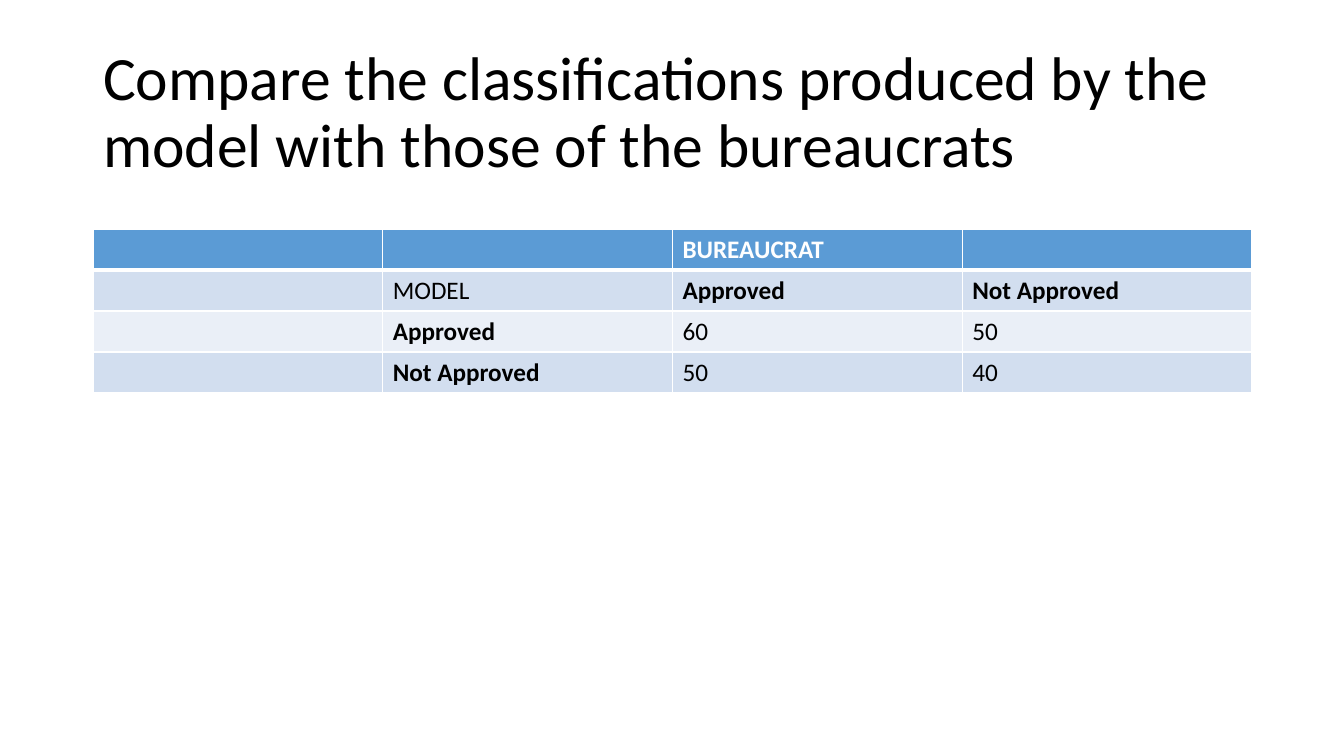
from dataclasses import dataclass

from lxml import etree
from pptx import Presentation
from pptx.dml.color import RGBColor
from pptx.enum.text import MSO_ANCHOR, MSO_AUTO_SIZE, PP_ALIGN
from pptx.oxml.ns import qn
from pptx.util import Emu, Inches, Pt

LEFT = PP_ALIGN.LEFT
MIDDLE = MSO_ANCHOR.MIDDLE
NO_AUTOFIT = MSO_AUTO_SIZE.NONE

PIXELS_PER_INCH = 100.8
TITLE_ONLY_LAYOUT = 5


@dataclass(frozen=True)
class Theme:
    font: str = "Calibri"
    title_size: int = 44
    table_size: int = 18
    text: str = "000000"
    header_text: str = "FFFFFF"
    header_fill: str = "5B9BD5"
    bands: tuple = ("D2DEEF", "EAEFF7")
    border: str = "FFFFFF"
    border_width: int = 1
    header_border_width: int = 3


THEME = Theme()

TITLE = ("Compare the classifications produced by the model "
         "with those of the bureaucrats")
COMPARISON = [
    ["", "", "BUREAUCRAT", ""],
    ["", "MODEL", "Approved", "Not Approved"],
    ["", "Approved", "60", "50"],
    ["", "Not Approved", "50", "40"],
]
BOLD_LABELS = {"BUREAUCRAT", "Approved", "Not Approved"}


def px(pixels):
    return Emu(round(pixels * Inches(1) / PIXELS_PER_INCH))


def format_runs(paragraph, size, color, bold=False):
    for run in paragraph.runs:
        run.font.name = THEME.font
        run.font.size = Pt(size)
        run.font.bold = bold
        run.font.color.rgb = RGBColor.from_string(color)


def add_title(slide, text, left, top, width, height):
    title = slide.shapes.title
    title.left, title.top = px(left), px(top)
    title.width, title.height = px(width), px(height)
    text_frame = title.text_frame
    text_frame.text = text
    text_frame.word_wrap = True
    text_frame.auto_size = NO_AUTOFIT
    text_frame.vertical_anchor = MIDDLE
    paragraph = text_frame.paragraphs[0]
    paragraph.alignment = LEFT
    paragraph.line_spacing = 0.9
    format_runs(paragraph, THEME.title_size, THEME.text)


def set_border(cell, side, width):
    properties = cell._tc.get_or_add_tcPr()
    line = etree.SubElement(properties, qn(f"a:ln{side}"), w=str(Pt(width)))
    fill = etree.SubElement(line, qn("a:solidFill"))
    etree.SubElement(fill, qn("a:srgbClr"), val=THEME.border)


def format_cell(cell, row_index):
    is_header = row_index == 0
    # The heavy rule lies between the header and the first band
    heavy_side = {0: "B", 1: "T"}.get(row_index)
    for side in "LRTB":
        heavy = side == heavy_side
        set_border(cell, side,
                   THEME.header_border_width if heavy else THEME.border_width)
    band = THEME.bands[(row_index - 1) % len(THEME.bands)]
    cell.fill.solid()
    cell.fill.fore_color.rgb = RGBColor.from_string(
        THEME.header_fill if is_header else band)
    format_runs(cell.text_frame.paragraphs[0], THEME.table_size,
                THEME.header_text if is_header else THEME.text,
                cell.text in BOLD_LABELS)


def add_comparison_table(slide, rows, left, top, width, row_height):
    column_count = len(rows[0])
    table = slide.shapes.add_table(
        len(rows), column_count, px(left), px(top),
        px(width), px(row_height * len(rows))).table
    for row_index, texts in enumerate(rows):
        for column_index, text in enumerate(texts):
            cell = table.cell(row_index, column_index)
            cell.text = text
            format_cell(cell, row_index)


def main():
    presentation = Presentation()
    presentation.slide_width = px(1344)
    presentation.slide_height = px(756)
    slide = presentation.slides.add_slide(
        presentation.slide_layouts[TITLE_ONLY_LAYOUT])

    # Heading
    add_title(slide, TITLE, left=93, top=41, width=1159, height=146)

    # Model against bureaucrat counts
    add_comparison_table(slide, COMPARISON, left=93, top=229,
                         width=1159, row_height=41)

    presentation.save("out.pptx")


main()
